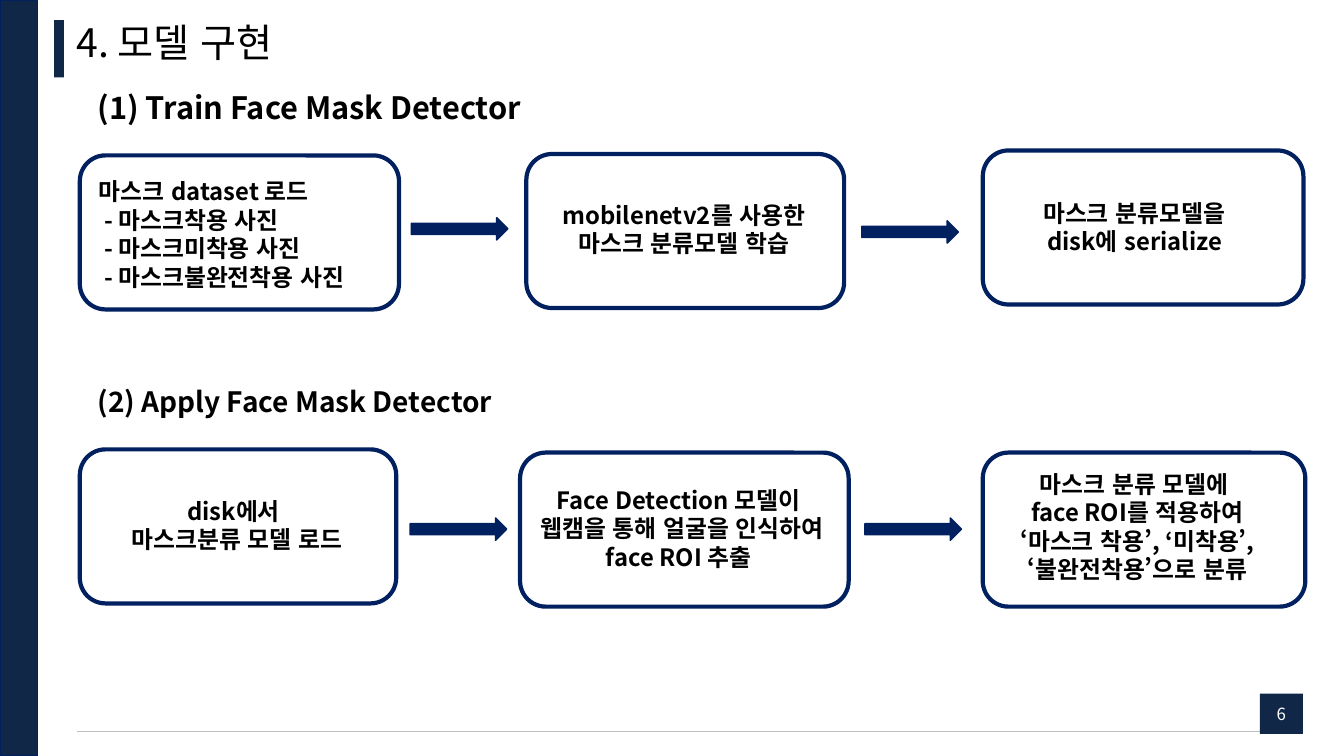
from lxml import etree
from pptx import Presentation
from pptx.dml.color import RGBColor
from pptx.enum import lang, shapes, text
from pptx.oxml import ns
from pptx.util import Pt

NAVY = RGBColor(0x10, 0x27, 0x47)
BLUE = RGBColor(0x00, 0x20, 0x60)
GREY = RGBColor(0xBF, 0xBF, 0xBF)
BLACK = RGBColor(0, 0, 0)
WHITE = RGBColor(255, 255, 255)
FONT = "Noto Sans CJK KR"
KOREAN = lang.MSO_LANGUAGE_ID.KOREAN
LEFT, CENTER = text.PP_ALIGN.LEFT, text.PP_ALIGN.CENTER
SHAPE = shapes.MSO_SHAPE
CARD_HEIGHT = 110

CARDS = [
    ((57, 111, 228), (63.4, 123, 217.4), LEFT,
     ["마스크 dataset 로드", " - 마스크착용 사진", " - 마스크미착용 사진", " - 마스크불완전착용 사진"]),
    ((376, 110, 227), (373, 139.7, 231), CENTER,
     ["mobilenetv2를 사용한", "마스크 분류모델 학습"]),
    ((702, 107.5, 229), (697.7, 138.2, 229.7), CENTER,
     ["마스크 분류모델을 ", "disk에 serialize "]),
    ((57, 321, 226), (72.7, 351.4, 193), CENTER,
     ["disk에서 ", "마스크분류 모델 로드"]),
    ((371.5, 323.3, 234.7), (364, 343.4, 246.2), CENTER,
     ["Face Detection 모델이 ", "웹캠을 통해 얼굴을 인식하여", "face ROI 추출 "]),
    ((702, 323.3, 230.4), (697.5, 331.9, 230), CENTER,
     ["마스크 분류 모델에 ", "face ROI를 적용하여", "‘마스크 착용’, ‘미착용’,", "‘불완전착용’으로 분류"]),
]
ARROWS = [(293.8, 155.5), (615.6, 157.7), (293, 370), (617.8, 370)]
HEADINGS = [(60, 22, "(1) Train Face Mask Detector"),
            (271, 20, "(2) Apply Face Mask Detector")]


def apply_format(target, values):
    """Set every attribute in values on target."""
    for name, value in values.items():
        setattr(target, name, value)


def write_lines(frame, lines, size, color=BLACK, bold=False, align=LEFT, spacing=None):
    """Fill a text frame with one paragraph per line."""
    for index, line in enumerate(lines):
        para = frame.add_paragraph() if index else frame.paragraphs[0]
        apply_format(para, {"alignment": align, "line_spacing": spacing})
        span = para.add_run()
        span.text = line
        apply_format(span.font, {"name": FONT, "size": Pt(size), "bold": bold,
                                 "language_id": KOREAN})
        span.font.color.rgb = color
        east_asian = etree.SubElement(span.font._element, ns.qn("a:ea"))
        east_asian.set("typeface", FONT)


def add_text(page, left, top, width, height, lines, size, **style):
    """Add a wrapping text box and return its frame."""
    frame = page.shapes.add_textbox(Pt(left), Pt(top), Pt(width), Pt(height)).text_frame
    frame.word_wrap = True
    write_lines(frame, lines, size, **style)
    return frame


def add_block(page, kind, left, top, width, height, fill=None, line=None, weight=1):
    """Add a flat preset shape with optional fill and outline."""
    block = page.shapes.add_shape(kind, Pt(left), Pt(top), Pt(width), Pt(height))
    block.shadow.inherit = False
    if fill is None:
        block.fill.background()
    else:
        block.fill.solid()
        block.fill.fore_color.rgb = fill
    if line is None:
        block.line.fill.background()
    else:
        block.line.color.rgb = line
        block.line.width = Pt(weight)
    return block


def add_card(page, box, label, align, lines):
    """Add a rounded outline with its bold label."""
    left, top, width = box
    add_block(page, SHAPE.ROUNDED_RECTANGLE, left, top, width, CARD_HEIGHT,
              line=BLUE, weight=3)
    left, top, width = label
    add_text(page, left, top, width, 7.2 + 20.3 * len(lines), lines, 17,
             bold=True, align=align, spacing=Pt(20.3))


def add_rule(page, left, right, top):
    """Add the thin horizontal footer line."""
    rule = page.shapes.add_connector(shapes.MSO_CONNECTOR.STRAIGHT,
                                     Pt(left), Pt(top), Pt(right), Pt(top))
    rule.line.color.rgb = GREY
    rule.line.width = Pt(0.5)
    etree.SubElement(rule._element.spPr, ns.qn("a:effectLst"))


def add_frame(page):
    """Add the side bar, title, footer line and page number."""
    add_rule(page, 54.7, 930.2, 522.7)
    add_block(page, SHAPE.RECTANGLE, 0.5, 0.5, 26.5, 539.5, NAVY, BLUE)
    add_block(page, SHAPE.RECTANGLE, 38.7, 14.4, 7, 41, NAVY)
    title = add_text(page, 54.7, 17, 885.6, 30.2, ["4. 모델 구현"], 28, spacing=0.9)
    apply_format(title, {"margin_left": 0, "margin_right": 0, "margin_top": 0,
                         "margin_bottom": 0, "vertical_anchor": text.MSO_ANCHOR.MIDDLE})
    number = add_block(page, SHAPE.RECTANGLE, 900, 495.5, 30.6, 28.8, NAVY)
    number.text_frame.vertical_anchor = text.MSO_ANCHOR.MIDDLE
    write_lines(number.text_frame, ["6"], 12, color=WHITE, align=CENTER)


def main():
    """Build the model implementation slide."""
    deck = Presentation()
    apply_format(deck, {"slide_width": Pt(960), "slide_height": Pt(540)})
    page = deck.slides.add_slide(deck.slide_layouts[6])
    add_frame(page)
    for top, size, heading in HEADINGS:
        add_text(page, 62.6, top, 849, 7.2 + 1.2 * size, [heading], size,
                 bold=True, spacing=Pt(1.2 * size))
    for card in CARDS:
        add_card(page, *card)
    for left, top in ARROWS:
        add_block(page, SHAPE.RIGHT_ARROW, left, top, 69, 16, BLUE, BLUE)
    deck.save("out.pptx")


if __name__ == "__main__":
    main()
